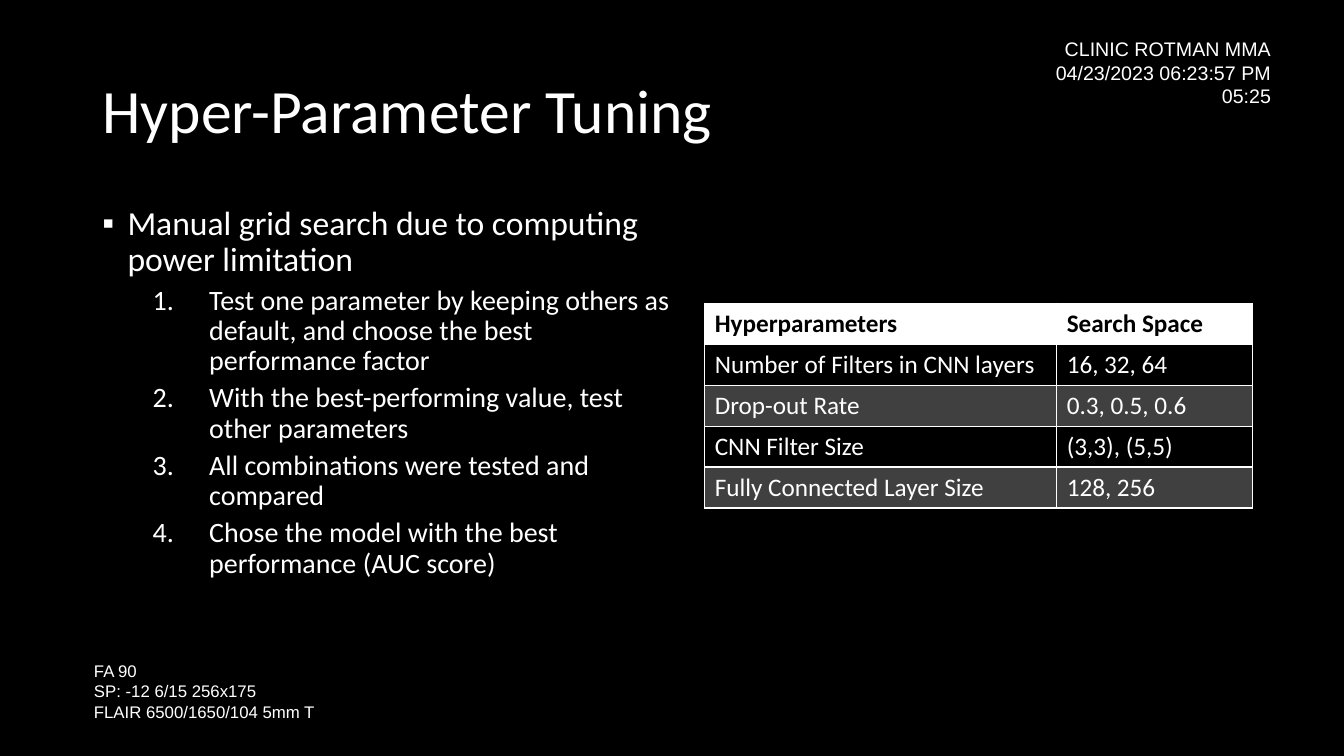
from dataclasses import dataclass

from lxml.etree import SubElement
from pptx import Presentation
from pptx.dml.color import RGBColor as Color
from pptx.enum.text import MSO_ANCHOR as Anchor, PP_ALIGN as Align
from pptx.oxml import parse_xml
from pptx.oxml.ns import nsdecls, qn
from pptx.util import Inches, Pt

COLUMNS, ROWS = 160, 90
UNIT = Inches(1) // 12


@dataclass(frozen=True)
class Theme:
    black: Color = Color(0, 0, 0)
    white: Color = Color(255, 255, 255)
    band: Color = Color(64, 64, 64)
    body_font: str = "Calibri"
    label_font: str = "Arial"
    title_size: int = 44
    point_size: int = 24
    step_size: int = 20
    table_size: int = 18
    header_size: int = 14
    footer_size: int = 12


THEME = Theme()

HEADER = ["CLINIC ROTMAN MMA", "04/23/2023 06:23:57 PM", "05:25"]
FOOTER = ["FA 90", "SP: -12 6/15 256x175", "FLAIR 6500/1650/104 5mm T"]
POINT = "Manual grid search due to computing power limitation"
STEPS = [
    "Test one parameter by keeping others as default,\u00a0and choose the best performance factor",
    "With the best-performing value, test other parameters",
    "All combinations were tested and compared",
    "Chose the model with the best performance (AUC score)",
]
SEARCH_SPACE = [
    ("Hyperparameters", "Search Space"),
    ("Number of Filters in CNN layers", "16, 32, 64"),
    ("Drop-out Rate", "0.3, 0.5, 0.6"),
    ("CNN Filter Size", "(3,3), (5,5)"),
    ("Fully Connected Layer Size", "128, 256"),
]


def grid(*cells):
    return [round(cell * UNIT) for cell in cells]


def apply(target, values):
    for name, value in values.items():
        setattr(target, name, value)


def write(paragraph, text, size, color=THEME.white, font=THEME.body_font, bold=False, **layout):
    apply(paragraph, layout)
    run = paragraph.add_run()
    run.text = text
    apply(run.font, {"size": Pt(size), "name": font, "bold": bold})
    run.font.color.rgb = color
    return run


def add_text_shadow(run):
    shadow = parse_xml(
        f'<a:effectLst {nsdecls("a")}><a:outerShdw blurRad="38100" dist="38100" '
        'dir="2700000"><a:srgbClr val="000000"/></a:outerShdw></a:effectLst>'
    )
    run.font.fill._xPr.find(qn("a:solidFill")).addnext(shadow)


def add_box(slide, area):
    frame = slide.shapes.add_textbox(*grid(*area)).text_frame
    frame.word_wrap = True
    return frame


def paragraph_at(frame, index):
    return frame.paragraphs[0] if index == 0 else frame.add_paragraph()


def add_label(slide, area, lines, size, alignment):
    frame = add_box(slide, area)
    for index, line in enumerate(lines):
        run = write(paragraph_at(frame, index), line, size, font=THEME.label_font, alignment=alignment)
        add_text_shadow(run)


def add_title(slide, area, text):
    title = slide.shapes.title
    apply(title, dict(zip(("left", "top", "width", "height"), grid(*area))))
    apply(title.text_frame, {"word_wrap": True, "vertical_anchor": Anchor.MIDDLE})
    write(title.text_frame.paragraphs[0], text, THEME.title_size, alignment=Align.LEFT, line_spacing=0.9)


def set_bullet(paragraph, left, hanging, tag, **attributes):
    properties = paragraph._p.get_or_add_pPr()
    properties.set("marL", str(Inches(left)))
    properties.set("indent", str(-Inches(hanging)))
    SubElement(properties, qn("a:buFont"), typeface=THEME.label_font)
    SubElement(properties, qn(tag), **attributes)


def add_points(slide, area, point, steps):
    frame = add_box(slide, area)
    heading = frame.paragraphs[0]
    set_bullet(heading, 0.25, 0.25, "a:buChar", char="▪")
    write(heading, point, THEME.point_size, line_spacing=0.9)
    for step in steps:
        paragraph = frame.add_paragraph()
        set_bullet(paragraph, 1.06, 0.56, "a:buAutoNum", type="arabicPeriod")
        write(paragraph, step, THEME.step_size, level=1, line_spacing=0.9, space_before=Pt(5))


def set_borders(cell):
    properties = cell._tc.get_or_add_tcPr()
    for index, side in enumerate(("lnL", "lnR", "lnT", "lnB")):
        properties.insert(index, parse_xml(
            f'<a:{side} {nsdecls("a")} w="{Pt(1)}"><a:solidFill>'
            f'<a:srgbClr val="{THEME.white}"/></a:solidFill></a:{side}>'
        ))


def add_table(slide, area, widths, rows):
    table = slide.shapes.add_table(len(rows), len(widths), *grid(*area)).table
    apply(table, {"first_row": False, "horz_banding": False})
    for column, width in zip(table.columns, grid(*widths)):
        column.width = width
    for row_index, row in enumerate(rows):
        is_header = row_index == 0
        fill = THEME.white if is_header else (THEME.black, THEME.band)[(row_index + 1) % 2]
        color = THEME.black if is_header else THEME.white
        for column_index, text in enumerate(row):
            cell = table.cell(row_index, column_index)
            cell.fill.solid()
            cell.fill.fore_color.rgb = fill
            set_borders(cell)
            write(cell.text_frame.paragraphs[0], text, THEME.table_size, color, bold=is_header)


def main():
    presentation = Presentation()
    apply(presentation, {"slide_width": COLUMNS * UNIT, "slide_height": ROWS * UNIT})
    slide = presentation.slides.add_slide(presentation.slide_layouts[5])
    background = slide.background.fill
    background.solid()
    background.fore_color.rgb = THEME.black

    add_label(slide, (115.2, 3.84, 37.3, 9.7), HEADER, THEME.header_size, Align.RIGHT)
    add_label(slide, (10, 78.1, 50.5, 8.5), FOOTER, THEME.footer_size, Align.LEFT)
    add_title(slide, (11, 4.8, 112, 17.4), "Hyper-Parameter Tuning")
    add_points(slide, (11, 24, 71.2, 48.7), POINT, STEPS)
    add_table(slide, (83.9, 36.1, 65.2, 24.4), (41.9, 23.3), SEARCH_SPACE)
    presentation.save("out.pptx")


if __name__ == "__main__":
    main()
